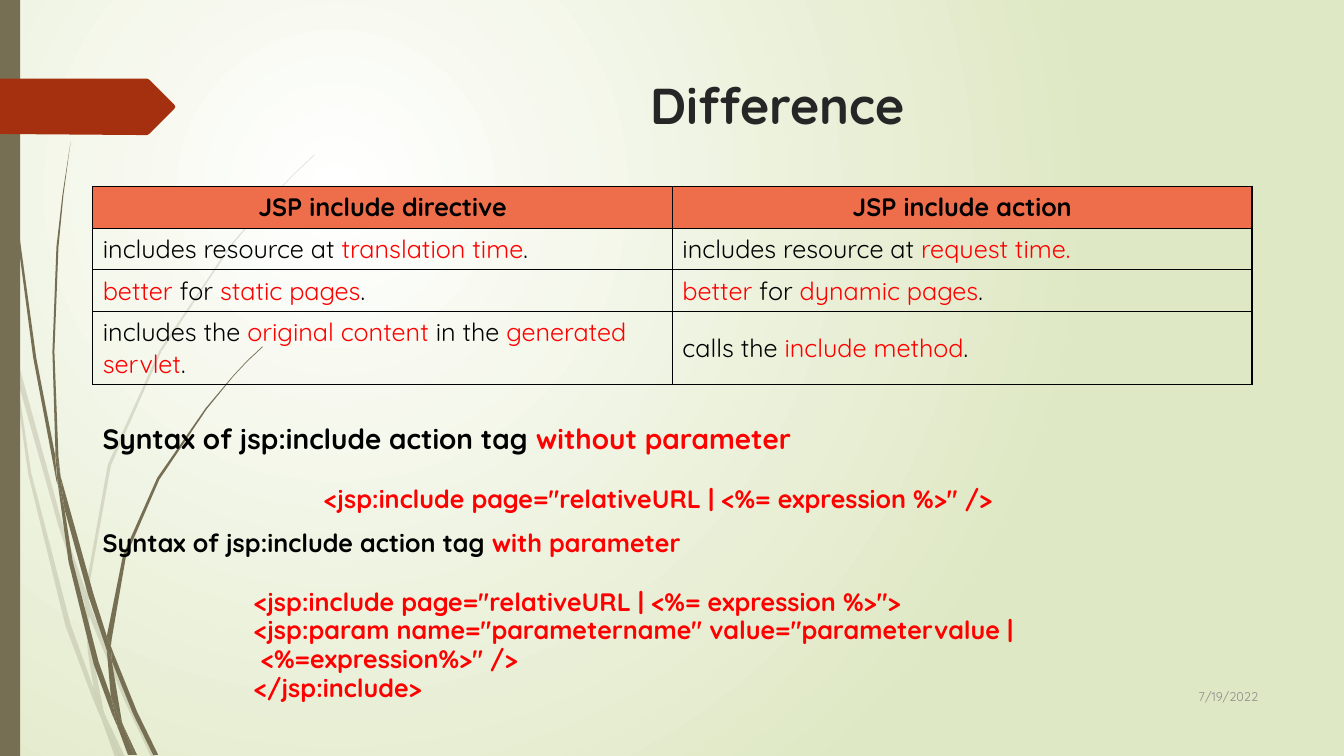
from dataclasses import dataclass

import pptx
import pptx.dml.color
import pptx.enum.shapes
import pptx.enum.text
import pptx.oxml
import pptx.oxml.ns
import pptx.util
from pptx.util import Pt

ALIGN = pptx.enum.text.PP_ALIGN
ANCHOR = pptx.enum.text.MSO_ANCHOR


# Theme
@dataclass(frozen=True)
class Theme:
    font: str = "Quicksand"
    white: str = "FFFFFF"
    pale_green: str = "DFE8C4"
    olive: str = "766F54"
    rust: str = "A53010"
    orange: str = "EE6E4B"
    black: str = "000000"
    red: str = "FF0000"
    title_ink: str = "262626"
    date_ink: str = "8C8C8C"
    title_size: float = 36
    lead_size: float = 20
    body_size: float = 18
    date_size: float = 9


THEME = Theme()


@dataclass(frozen=True)
class Run:
    text: str
    colour: str = THEME.black


@dataclass(frozen=True)
class Line:
    runs: tuple
    size: float = THEME.body_size
    bold: bool = False
    align: ALIGN = ALIGN.LEFT
    level: int = 0
    space_before: float = 0
    line_spacing: float = 1.0


@dataclass(frozen=True)
class Box:
    left: float
    top: float
    width: float
    height: float
    lines: tuple
    anchor: ANCHOR = ANCHOR.TOP


def red(text: str) -> Run:
    return Run(text, THEME.red)


def code(text: str, **layout) -> Line:
    """A bold red code line whose spaces do not break."""
    return Line((red(text.replace(" ", chr(160))),), bold=True, line_spacing=0.95, **layout)


def rgb(colour: str):
    return pptx.dml.color.RGBColor.from_string(colour)


# Content
LABEL = Run("Syntax of jsp:include action tag ")
CODE_GAP = 22
TITLE = Box(204.5, 49, 702, 100.8, (
    Line((Run("Difference", THEME.title_ink),), THEME.title_size, True, ALIGN.CENTER),))
BOXES = (
    Box(66.24, 297.4, 808, 118.8, (
        Line((LABEL, red("without parameter")), THEME.lead_size, True),
        code('<jsp:include page="relativeURL | <%= expression %>" />',
             align=ALIGN.CENTER, space_before=CODE_GAP))),
    Box(66.24, 373, 828, 138.2, (
        Line((LABEL, red("with parameter")), bold=True),
        code('<jsp:include page="relativeURL | <%= expression %>">',
             level=3, space_before=CODE_GAP),
        code('<jsp:param name="parametername" value="parametervalue | <%=expression%>" />', level=3),
        code("</jsp:include>", level=3))),
    Box(815.8, 482.4, 90, 29.5, (
        Line((Run("7/19/2022", THEME.date_ink),), THEME.date_size, align=ALIGN.RIGHT),),
        ANCHOR.MIDDLE),
)
HEADINGS = ("JSP include directive", "JSP include action")
TABLE_ROWS = (
    tuple(Line((Run(heading),), bold=True, align=ALIGN.CENTER) for heading in HEADINGS),
    (Line((Run("includes resource at "), red("translation time"), Run("."))),
     Line((Run("includes resource at "), red("request time.")))),
    (Line((red("better"), Run(" for "), red("static pages"), Run("."))),
     Line((red("better"), Run(" for "), red("dynamic pages"), Run(".")))),
    (Line((Run("includes the "), red("original content "), Run("in the "),
           red("generated servlet"), Run("."))),
     Line((Run("calls the "), red("include method"), Run(".")))),
)
ROW_HEIGHTS = (29.7, 29.7, 29.7, 52.2)

# Outlines: x,y corners on a grid of 0.72 points
GRID = 0.72
FAINT_BLADES = (
    "11,350 9,322 0,282 0,299 10,344",
    "58,522 84,599 85,586 62,520 14,345 17,376",
    "92,607 88,596 88,610 123,694 150,751 155,751 127,692",
    "119,751 124,751 105,711",
    "93,683 70,619 31,469 17,376 11,350 28,470 65,621 92,693 101,714 99,707",
    "84,599 87,646 93,683 96,692 105,711 103,706 91,646 88,610 88,608",
    "88,584 110,462 160,349 229,245 268,198 290,175 312,154 312,153 289,175 268,197 "
    "228,244 158,348 107,461 85,584 85,586 88,596",
    "101,714 114,751 119,751",
    "88,608 88,610 88,596 85,586 84,599",
    "96,692 93,683 99,707 101,714 119,751 105,711",
)
DARK_BLADES = (
    "7,110 17,233 33,355 56,477 57,481 55,457 55,453 36,355 19,232 8,109 5,48 4,0 3,0 4,48",
    "88,592 106,645 106,631 93,590 60,472 64,505",
    "113,649 110,641 111,656 132,708 152,749 157,749 136,706",
    "110,691 98,657 72,556 64,505 57,477 68,557 93,659 111,708 117,722 116,717",
    "60,472 58,453 54,349 58,245 63,193 70,141 62,193 56,245 52,349 55,449",
    "133,749 136,749 122,719",
    "57,477 64,505 60,472 55,449 55,453",
    "111,633 125,552 158,476 205,406 231,374 245,359 261,344 260,344 245,358 231,373 "
    "204,405 156,474 122,551 106,631 110,641",
    "117,722 127,749 131,749",
    "106,645 110,691 116,706 122,719 121,716 111,656 109,651",
    "106,645 109,651 111,656 110,641 106,631 106,633",
    "116,706 110,691 116,717 117,722 130,749 133,749 122,719",
)
ARROW_TAG = "173,108 148,133 146,134 136,134 0,133 0,78 146,78 148,79 173,104 174,106"


# Drawing
def write_lines(frame, lines: tuple, anchor: ANCHOR = ANCHOR.TOP) -> None:
    for index, line in enumerate(lines):
        paragraph = frame.paragraphs[0] if index == 0 else frame.add_paragraph()
        layout = {"alignment": line.align, "level": line.level,
                  "space_before": Pt(line.space_before), "line_spacing": line.line_spacing}
        for name, value in layout.items():
            setattr(paragraph, name, value)
        for part in line.runs:
            run = paragraph.add_run()
            run.text = part.text
            formats = {"name": THEME.font, "size": Pt(line.size), "bold": line.bold}
            for name, value in formats.items():
                setattr(run.font, name, value)
            run.font.color.rgb = rgb(part.colour)
    frame.vertical_anchor = anchor


def fill_plain(shape, colour: str) -> None:
    shape.shadow.inherit = False
    shape.fill.solid()
    shape.fill.fore_color.rgb = rgb(colour)
    shape.line.fill.background()


def draw_outline(slide, corners: str, colour: str, opacity: int = 100) -> None:
    points = [tuple(map(int, corner.split(","))) for corner in corners.split()]
    builder = slide.shapes.build_freeform(*points[0], scale=Pt(GRID))
    builder.add_line_segments(points[1:], close=True)
    shape = builder.convert_to_shape()
    fill_plain(shape, colour)
    if opacity < 100:
        tint = shape._element.spPr.find(".//" + pptx.oxml.ns.qn("a:srgbClr"))
        tint.append(pptx.oxml.parse_xml(
            f'<a:alpha {pptx.oxml.ns.nsdecls("a")} val="{opacity * 1000}"/>'))


def paint_background(slide) -> None:
    fill = slide.background.fill
    fill.gradient()
    for stop, colour in zip(fill.gradient_stops, (THEME.white, THEME.pale_green)):
        stop.color.rgb = rgb(colour)
    gradient = slide._element.find(".//" + pptx.oxml.ns.qn("a:gradFill"))
    linear = gradient.find(pptx.oxml.ns.qn("a:lin"))
    gradient.replace(linear, pptx.oxml.parse_xml(
        f'<a:path {pptx.oxml.ns.nsdecls("a")} path="circle">'
        '<a:fillToRect l="50000" t="50000" r="100000" b="100000"/></a:path>'))


def add_borders(cell) -> None:
    properties = cell._tc.get_or_add_tcPr()
    for index, side in enumerate(("lnL", "lnR", "lnT", "lnB")):
        properties.insert(index, pptx.oxml.parse_xml(
            f'<a:{side} {pptx.oxml.ns.nsdecls("a")} w="{Pt(1)}"><a:solidFill>'
            f'<a:srgbClr val="{THEME.black}"/></a:solidFill></a:{side}>'))


def draw_table(slide) -> None:
    table = slide.shapes.add_table(len(TABLE_ROWS), len(HEADINGS), Pt(66.24), Pt(133.2),
                                   Pt(828), Pt(sum(ROW_HEIGHTS))).table
    table.first_row = table.horz_banding = False
    for row_index, (lines, height) in enumerate(zip(TABLE_ROWS, ROW_HEIGHTS)):
        table.rows[row_index].height = Pt(height)
        for column_index, line in enumerate(lines):
            cell = table.cell(row_index, column_index)
            write_lines(cell.text_frame, (line,))
            cell.vertical_anchor = ANCHOR.MIDDLE
            if row_index == 0:
                cell.fill.solid()
                cell.fill.fore_color.rgb = rgb(THEME.orange)
            else:
                cell.fill.background()
            add_borders(cell)


def place_text(shape, box: Box) -> None:
    for name in ("left", "top", "width", "height"):
        setattr(shape, name, Pt(getattr(box, name)))
    shape.text_frame.word_wrap = True
    write_lines(shape.text_frame, box.lines, box.anchor)


def main() -> None:
    presentation = pptx.Presentation()
    presentation.slide_width, presentation.slide_height = Pt(960), Pt(540)
    slide = presentation.slides.add_slide(presentation.slide_layouts[5])
    paint_background(slide)
    # Grass blades, side bar and arrow tag
    for blade in FAINT_BLADES:
        draw_outline(slide, blade, THEME.olive, opacity=20)
    for blade in DARK_BLADES:
        draw_outline(slide, blade, THEME.olive)
    side_bar = slide.shapes.add_shape(
        pptx.enum.shapes.MSO_SHAPE.RECTANGLE, 0, 0, Pt(14.4), Pt(540))
    fill_plain(side_bar, THEME.olive)
    draw_outline(slide, ARROW_TAG, THEME.rust)
    # Title, table and text
    place_text(slide.shapes.title, TITLE)
    draw_table(slide)
    for box in BOXES:
        place_text(slide.shapes.add_textbox(0, 0, 0, 0), box)
    presentation.save("out.pptx")


if __name__ == "__main__":
    main()
